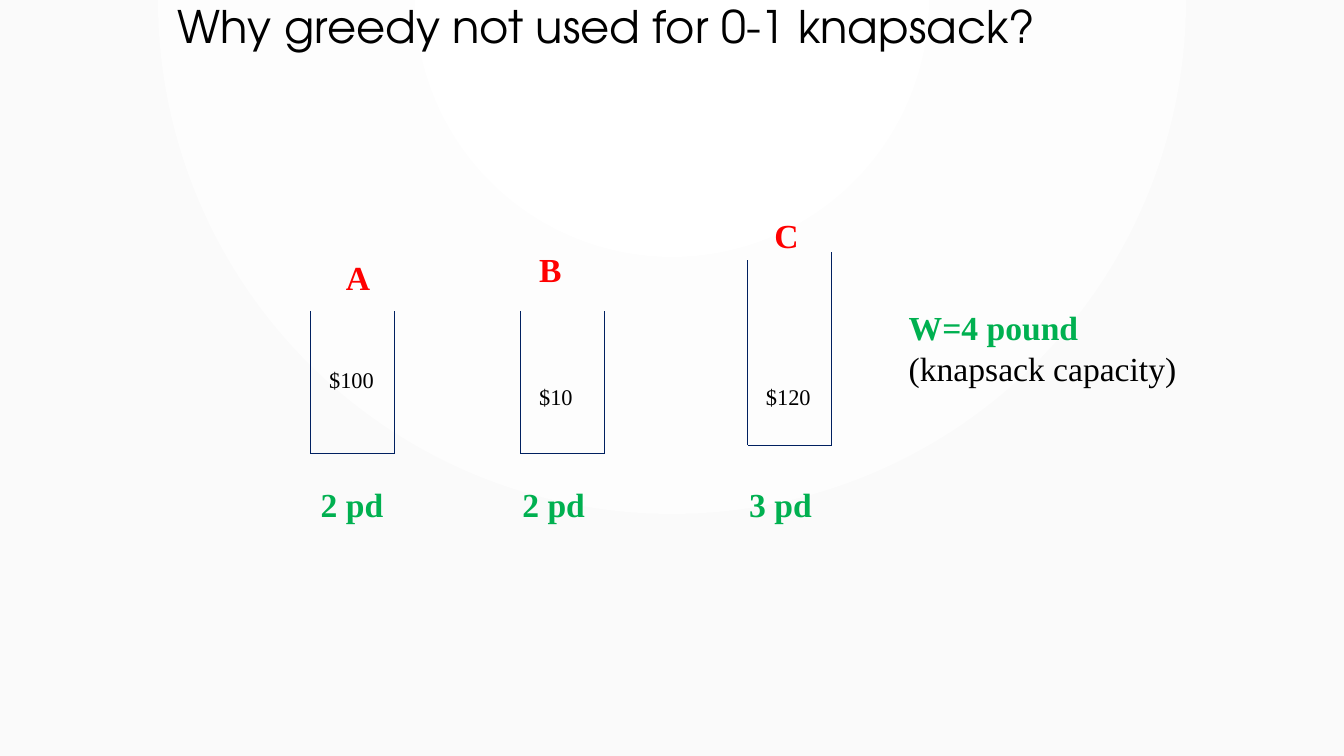
from dataclasses import dataclass

from lxml import etree
from pptx import Presentation
from pptx.dml.color import RGBColor
from pptx.enum.shapes import MSO_CONNECTOR
from pptx.enum.text import MSO_ANCHOR
from pptx.oxml.ns import qn
from pptx.slide import Slide
from pptx.util import Inches, Pt

STRAIGHT = MSO_CONNECTOR.STRAIGHT
TOP = MSO_ANCHOR.TOP

BLACK = RGBColor(0x00, 0x00, 0x00)
WHITE = RGBColor(0xFF, 0xFF, 0xFF)
PALE_GREY = RGBColor(0xFA, 0xFA, 0xFA)
NAVY = RGBColor(0x00, 0x20, 0x60)
GREEN = RGBColor(0x00, 0xB0, 0x50)
RED = RGBColor(0xFF, 0x00, 0x00)

SLIDE_WIDTH = Inches(13.33)
SLIDE_HEIGHT = Inches(7.5)
COLUMNS, ROWS = 160, 90

SERIF = "Times New Roman"
TITLE_FORMAT = {"name": "TeX Gyre Adventor", "size": Pt(32), "bold": False}
BOLD_FORMAT = {"name": SERIF, "size": Pt(24), "bold": True}
PLAIN_FORMAT = {"name": SERIF, "size": Pt(24), "bold": False}
PRICE_FORMAT = {"name": SERIF, "size": Pt(16), "bold": False}


@dataclass(frozen=True)
class Line:
    text: str
    font_format: dict
    color: RGBColor


@dataclass(frozen=True)
class Item:
    """A container open at the top; places are grid columns and rows."""
    name: str
    price: str
    weight: str
    left: int
    left_top: int
    right_top: int
    bottom: int
    name_at: tuple[int, int]
    price_at: tuple[int, int]
    weight_at: tuple[int, int]


ITEMS = [
    Item("A", "$100", "2 pd", 37, 37, 37, 54, (40, 30), (38, 43), (37, 57)),
    Item("B", "$10", "2 pd", 62, 37, 37, 54, (63, 29), (63, 45), (61, 57)),
    Item("C", "$120", "3 pd", 89, 31, 30, 53, (91, 25), (90, 45), (88, 57)),
]
ITEM_WIDTH = 10


def across(columns: float) -> int:
    return round(SLIDE_WIDTH * columns / COLUMNS)


def down(rows: float) -> int:
    return round(SLIDE_HEIGHT * rows / ROWS)


def set_background(slide: Slide) -> None:
    """Fill with a circular gradient centred on the top edge."""
    fill = slide.background.fill
    fill.gradient()
    for stop, color in zip(fill.gradient_stops, (WHITE, PALE_GREY)):
        stop.color.rgb = color
    gradient = slide.background._cSld.find(".//" + qn("a:gradFill"))
    linear = gradient.find(qn("a:lin"))
    circle = etree.Element(qn("a:path"), {"path": "circle"})
    etree.SubElement(circle, qn("a:fillToRect"),
                     {"l": "43000", "t": "0", "r": "43000", "b": "100000"})
    gradient.replace(linear, circle)


def add_text(slide: Slide, at: tuple[int, int], size: tuple[float, float],
             lines: list[Line], line_spacing: float = 1.0) -> None:
    box = slide.shapes.add_textbox(across(at[0]), down(at[1]),
                                   across(size[0]), down(size[1]))
    frame = box.text_frame
    frame.word_wrap = True
    frame.vertical_anchor = TOP
    for index, line in enumerate(lines):
        paragraph = frame.add_paragraph() if index else frame.paragraphs[0]
        paragraph.line_spacing = line_spacing
        run = paragraph.add_run()
        run.text = line.text
        for attribute, value in line.font_format.items():
            setattr(run.font, attribute, value)
        run.font.color.rgb = line.color


def add_edge(slide: Slide, start: tuple[int, int], end: tuple[int, int]) -> None:
    edge = slide.shapes.add_connector(STRAIGHT, across(start[0]), down(start[1]),
                                      across(end[0]), down(end[1]))
    edge.line.color.rgb = NAVY
    edge.line.width = Pt(0.75)
    etree.SubElement(edge._element.spPr, qn("a:effectLst"))


def add_item(slide: Slide, item: Item) -> None:
    right = item.left + ITEM_WIDTH
    corners = [(item.left, item.left_top), (item.left, item.bottom),
               (right, item.bottom), (right, item.right_top)]
    for start, end in zip(corners, corners[1:]):
        add_edge(slide, start, end)
    add_text(slide, item.name_at, (7, 6), [Line(item.name, BOLD_FORMAT, RED)])
    add_text(slide, item.price_at, (8, 4.4), [Line(item.price, PRICE_FORMAT, BLACK)])
    add_text(slide, item.weight_at, (12, 6), [Line(item.weight, BOLD_FORMAT, GREEN)])


def main() -> None:
    presentation = Presentation()
    presentation.slide_width = SLIDE_WIDTH
    presentation.slide_height = SLIDE_HEIGHT
    slide = presentation.slides.add_slide(presentation.slide_layouts[6])
    set_background(slide)
    add_text(slide, (20, 0), (126, 14),
             [Line("Why greedy not used for 0-1 knapsack?", TITLE_FORMAT, BLACK)],
             line_spacing=0.9)
    add_text(slide, (107, 36), (36, 10.9),
             [Line("W=4 pound", BOLD_FORMAT, GREEN),
              Line("(knapsack capacity)", PLAIN_FORMAT, BLACK)])
    for item in ITEMS:
        add_item(slide, item)
    presentation.save("out.pptx")


if __name__ == "__main__":
    main()
